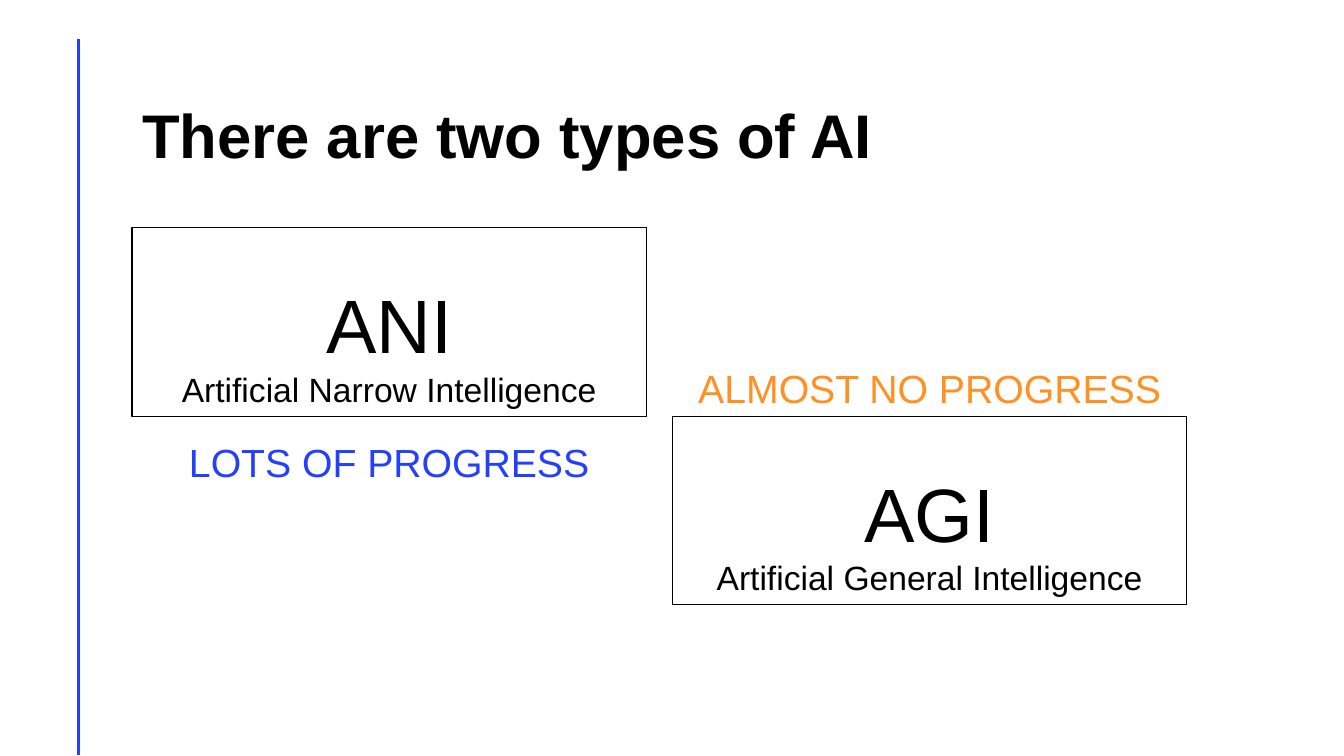
from pptx import Presentation
from pptx.dml.color import RGBColor
from pptx.enum.shapes import MSO_CONNECTOR as CONN, MSO_SHAPE as SHAPE
from pptx.enum.text import MSO_ANCHOR as ANCHOR, MSO_AUTO_SIZE as AUTO, PP_ALIGN as ALIGN
from pptx.oxml.ns import qn
from pptx.util import Inches, Pt
from lxml.etree import SubElement

BLACK = RGBColor(0x00, 0x00, 0x00)
WHITE = RGBColor(0xFF, 0xFF, 0xFF)
BLUE = RGBColor(0x24, 0x3F, 0xFF)
ORANGE = RGBColor(0xFF, 0x90, 0x22)

# Two-column grid, in inches
LEFT, TOP = 1.31, 2.26
COL_W, COL_GAP, ROW_H = 5.1, 0.26, 1.87


class Deck:
    def __init__(self, prs, font="Arial"):
        self.font = font
        self.slide = prs.slides.add_slide(prs.slide_layouts[5])
        self.shapes = self.slide.shapes

    def cell(self, col, row, width=COL_W, height=ROW_H):
        """Frame centred in a column, starting at a (fractional) row."""
        x = LEFT + col * (COL_W + COL_GAP) + (COL_W - width) / 2
        return [Inches(v) for v in (x, TOP + row * ROW_H, width, height)]

    def add_text(self, p, text, size, color=BLACK, bold=False, **layout):
        r = p.add_run()
        r.text = text
        for name, value in dict(name=self.font, size=Pt(size), bold=bold).items():
            setattr(r.font, name, value)
        r.font.color.rgb = color
        for name, value in layout.items():
            setattr(p, name, value)

    def frame(self, sp, anchor=ANCHOR.TOP, auto_size=AUTO.SHAPE_TO_FIT_TEXT):
        tf = sp.text_frame
        fmt = dict(word_wrap=True, auto_size=auto_size, vertical_anchor=anchor)
        for name, value in fmt.items():
            setattr(tf, name, value)
        return tf

    def rule(self, x, y1, y2, color):
        ln = self.shapes.add_connector(CONN.STRAIGHT, *map(Inches, (x, y1, x, y2)))
        ln.line.color.rgb, ln.line.width = color, Pt(2)
        SubElement(ln._element.spPr, qn("a:effectLst"))

    def title(self, text):
        sp = self.shapes.title
        box = dict(left=LEFT, top=0.65, width=11.5, height=1.45)
        for name, value in box.items():
            setattr(sp, name, Inches(value))
        tf = self.frame(sp, ANCHOR.MIDDLE, AUTO.NONE)
        self.add_text(tf.paragraphs[0], text, 44, bold=True,
                      alignment=ALIGN.LEFT, line_spacing=0.9)

    def card(self, col, row, short, full):
        sp = self.shapes.add_shape(SHAPE.RECTANGLE, *self.cell(col, row))
        sp.shadow.inherit = False
        sp.fill.solid()
        sp.fill.fore_color.rgb = WHITE
        sp.line.color.rgb, sp.line.width = BLACK, Pt(1)
        tf = self.frame(sp)
        self.add_text(tf.paragraphs[0], short, 54, alignment=ALIGN.CENTER, line_spacing=1.5)
        self.add_text(tf.add_paragraph(), full, 24, alignment=ALIGN.CENTER)

    def caption(self, col, row, text, color, width=COL_W):
        sp = self.shapes.add_textbox(*self.cell(col, row, width, 0.57))
        tf = self.frame(sp)
        self.add_text(tf.paragraphs[0], text, 28, color, alignment=ALIGN.CENTER)


def main():
    prs = Presentation()
    prs.slide_width, prs.slide_height = Inches(13.33), Inches(7.5)
    deck = Deck(prs)

    # Side rule and heading
    deck.rule(0.78, 0.39, 7.49, BLUE)
    deck.title("There are two types of AI")

    # The two types, stepping down from left to right
    deck.card(0, 0, "ANI", "Artificial Narrow Intelligence")
    deck.card(1, 1, "AGI", "Artificial General Intelligence")

    # Progress below the first card and above the second
    deck.caption(0, 1.09, "LOTS OF PROGRESS", BLUE, width=4.26)
    deck.caption(1, 0.7, "ALMOST NO PROGRESS", ORANGE)

    prs.save("out.pptx")


if __name__ == "__main__":
    main()
